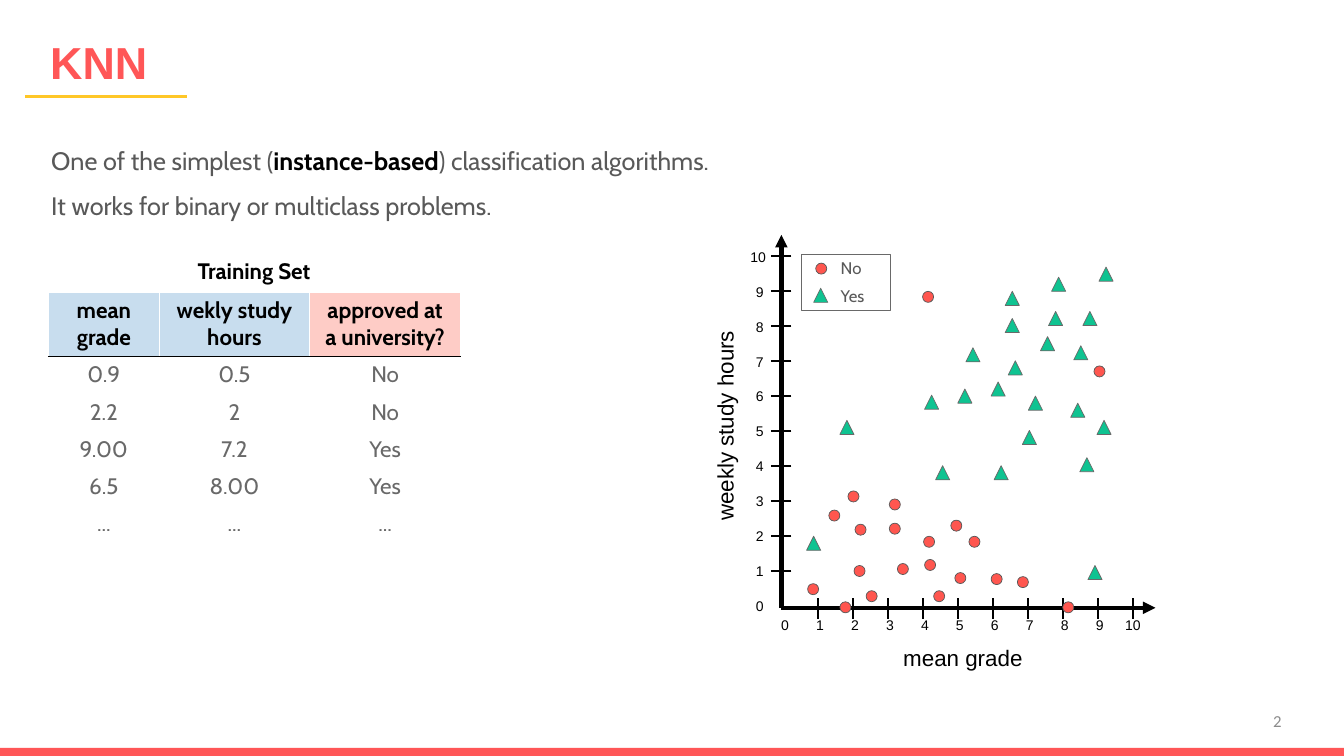
"""Builds a slide that introduces the KNN classifier with a training table and a scatter plot."""
from dataclasses import dataclass

from lxml.etree import SubElement
from pptx import Presentation
from pptx.dml.color import RGBColor
from pptx.enum.shapes import MSO_CONNECTOR, MSO_SHAPE
from pptx.enum.text import MSO_ANCHOR, MSO_AUTO_SIZE, PP_ALIGN
from pptx.oxml.ns import qn
from pptx.util import Inches, Pt

WHITE = RGBColor(0xFF, 0xFF, 0xFF)
BLACK = RGBColor(0x00, 0x00, 0x00)
CORAL = RGBColor(0xFF, 0x56, 0x57)
RED = RGBColor(0xFF, 0x56, 0x4F)
GREEN = RGBColor(0x0F, 0xC3, 0x91)
YELLOW = RGBColor(0xFF, 0xC7, 0x27)
BLUE_TINT = RGBColor(0xC8, 0xDD, 0xEE)
RED_TINT = RGBColor(0xFE, 0xCC, 0xC6)
DARK_GRAY = RGBColor(0x59, 0x59, 0x59)
GRAY = RGBColor(0x69, 0x69, 0x69)
LIGHT_GRAY = RGBColor(0x8C, 0x8C, 0x8C)


@dataclass(frozen=True)
class Style:
    size: float
    font: str
    color: RGBColor
    bold: bool = False
    align: PP_ALIGN = PP_ALIGN.CENTER
    spacing: float = 1.0


@dataclass(frozen=True)
class Label:
    text: str
    left: float
    top: float
    width: float
    height: float
    style: Style
    rotation: float = 0
    wrap: bool = True
    grow: bool = True
    anchor: MSO_ANCHOR = MSO_ANCHOR.TOP


@dataclass(frozen=True)
class Marker:
    kind: MSO_SHAPE
    size: float
    fill: RGBColor
    outline: RGBColor


TITLE = Style(32, "Arial", CORAL, True, PP_ALIGN.LEFT)
INTRO = Style(18, "Cabin", DARK_GRAY, False, PP_ALIGN.JUSTIFY, 1.5)
HEADING = Style(16, "Cabin", BLACK, True)
VALUE = Style(16, "Cabin", GRAY)
AXIS_NAME = Style(16, "Arial", BLACK)
TICK_LABEL = Style(10, "Arial", BLACK)
LEGEND = Style(12, "Cabin", DARK_GRAY, False, PP_ALIGN.LEFT, 1.5)
PAGE_NUMBER = Style(12, "Calibri", LIGHT_GRAY, False, PP_ALIGN.RIGHT)

NO_MARKER = Marker(MSO_SHAPE.OVAL, 0.11, RED, DARK_GRAY)
YES_MARKER = Marker(MSO_SHAPE.ISOSCELES_TRIANGLE, 0.14, GREEN, GRAY)

NO_POINTS = [
    (8.01, 5.79), (8.47, 5.61), (8.48, 5.2), (8.9, 5.59), (8.59, 5.86), (8.82, 5.19),
    (9.26, 5.86), (9.16, 5.32), (9.47, 5.68), (9.83, 5.69), (9.43, 5.16), (9.61, 5.32),
    (10.85, 3.63), (9.17, 5.55), (8.82, 4.95), (8.41, 4.87), (8.22, 5.06), (10.09, 5.72),
    (9.15, 2.89), (8.33, 5.97), (10.54, 5.97),
]
YES_POINTS = [
    (8.33, 4.17), (8, 5.32), (9.28, 4.62), (10.43, 2.75), (9.86, 4.62), (10.71, 4.54),
    (10.88, 4.17), (10.62, 4), (10.2, 3.93), (10, 3.58), (10.32, 3.34), (9.58, 3.45),
    (9.97, 3.16), (10.4, 3.09), (9.97, 2.89), (9.17, 3.92), (9.5, 3.86), (10.14, 4.27),
    (9.83, 3.79), (10.79, 5.61), (10.9, 2.65), (10.74, 3.09), (10.65, 3.43),
]
TRAINING_ROWS = [
    ("mean grade", "wekly study hours", "approved at a university?"),
    ("0.9", "0.5", "No"),
    ("2.2", "2", "No"),
    ("9.00", "7.2", "Yes"),
    ("6.5", "8.00", "Yes"),
    ("...", "...", "..."),
]
COLUMN_WIDTHS = (1.1, 1.49, 1.5)
HEADER_FILLS = (BLUE_TINT, BLUE_TINT, RED_TINT)
AXIS_X, AXIS_Y = 7.75, 6.03
ZERO_X, ZERO_Y = 7.77, 6.01
TICK_STEP = 3.12 / 9


def format_paragraph(para, style: Style) -> None:
    para.alignment = style.align
    para.line_spacing = style.spacing
    for span in para.runs:
        span.font.size = Pt(style.size)
        span.font.name = style.font
        span.font.bold = style.bold
        span.font.color.rgb = style.color


def add_label(shapes, label: Label):
    box = shapes.add_textbox(*map(Inches, (label.left, label.top, label.width, label.height)))
    box.rotation = label.rotation
    frame = box.text_frame
    frame.text = label.text
    frame.word_wrap = label.wrap
    frame.auto_size = MSO_AUTO_SIZE.SHAPE_TO_FIT_TEXT if label.grow else MSO_AUTO_SIZE.NONE
    frame.vertical_anchor = label.anchor
    for para in frame.paragraphs:
        format_paragraph(para, label.style)
    return box


def add_line(shapes, start: tuple[float, float], end: tuple[float, float],
             color: RGBColor, width: float, arrow: bool = False) -> None:
    line = shapes.add_connector(MSO_CONNECTOR.STRAIGHT, *map(Inches, (*start, *end)))
    line.line.color.rgb = color
    line.line.width = Pt(width)
    if arrow:
        SubElement(line.line._get_or_add_ln(), qn("a:tailEnd"), type="triangle")
    SubElement(line._element.spPr, qn("a:effectLst"))


def add_marker(shapes, marker: Marker, left: float, top: float) -> None:
    shape = shapes.add_shape(marker.kind, *map(Inches, (left, top, marker.size, marker.size)))
    shape.shadow.inherit = False
    shape.fill.solid()
    shape.fill.fore_color.rgb = marker.fill
    shape.line.color.rgb = marker.outline
    shape.line.width = Pt(0.5)


def add_borders(cell, top: RGBColor, bottom: RGBColor) -> None:
    properties = cell._tc.get_or_add_tcPr()
    for side, color in (("L", WHITE), ("R", WHITE), ("T", top), ("B", bottom)):
        border = SubElement(properties, qn(f"a:ln{side}"), w=str(Pt(1)))
        SubElement(SubElement(border, qn("a:solidFill")), qn("a:srgbClr"), val=str(color))


def add_training_table(shapes) -> None:
    frame = shapes.add_table(len(TRAINING_ROWS), len(COLUMN_WIDTHS),
                             *map(Inches, (0.48, 2.9, 4.09, 2.47)))
    table = frame.table
    table.first_row = table.horz_banding = False
    for column, width in zip(table.columns, COLUMN_WIDTHS):
        column.width = Inches(width)
    for row_index, texts in enumerate(TRAINING_ROWS):
        header = row_index == 0
        table.rows[row_index].height = Inches(0.63 if header else 0.37)
        for column_index, text in enumerate(texts):
            cell = table.cell(row_index, column_index)
            cell.text_frame.text = text
            cell.vertical_anchor = MSO_ANCHOR.BOTTOM if header else MSO_ANCHOR.MIDDLE
            format_paragraph(cell.text_frame.paragraphs[0], HEADING if header else VALUE)
            add_borders(cell, BLACK if row_index == 1 else WHITE, BLACK if header else WHITE)
            cell.fill.solid()
            cell.fill.fore_color.rgb = HEADER_FILLS[column_index] if header else WHITE


def add_scatter_plot(shapes) -> None:
    for end in ((11.46, AXIS_Y), (AXIS_X, 2.33)):
        add_line(shapes, (AXIS_X, AXIS_Y), end, BLACK, 3, arrow=True)
    for value in range(11):
        x, y = ZERO_X + value * TICK_STEP, ZERO_Y - value * TICK_STEP
        if value:
            add_line(shapes, (x, 6.14), (x, 5.93), BLACK, 1.5)
            add_line(shapes, (7.85, y), (7.65, y), BLACK, 1.5)
        width = 0.39 if value == 10 else 0.24
        for center_x, top in ((x, 6.07), (7.52, y - 0.13)):
            add_label(shapes, Label(str(value), center_x - width / 2, top, width, 0.27,
                                    TICK_LABEL, wrap=False))
    add_label(shapes, Label("weekly study hours", 5.87, 4.04, 2.64, 0.37, AXIS_NAME, rotation=270))
    add_label(shapes, Label("mean grade", 8.23, 6.34, 2.64, 0.37, AXIS_NAME))
    for marker, points in ((NO_MARKER, NO_POINTS), (YES_MARKER, YES_POINTS)):
        for left, top in points:
            add_marker(shapes, marker, left, top)
    add_marker(shapes, NO_MARKER, 8.09, 2.61)
    add_marker(shapes, YES_MARKER, 8.07, 2.86)
    for text, top in (("No", 2.41), ("Yes", 2.69)):
        add_label(shapes, Label(text, 8.24, top, 0.45, 0.4, LEGEND, wrap=False))
    legend = shapes.add_shape(MSO_SHAPE.RECTANGLE, *map(Inches, (7.95, 2.52, 0.88, 0.56)))
    legend.shadow.inherit = False
    legend.fill.background()
    legend.line.color.rgb = GRAY
    legend.line.width = Pt(0.5)


def add_intro(shapes) -> None:
    box = add_label(shapes, Label("One of the simplest (\nIt works for binary or multiclass problems.",
                                  0.41, 1.24, 7.68, 0.96, INTRO))
    para = box.text_frame.paragraphs[0]
    for text in ("instance-based", ") classification algorithms."):
        para.add_run().text = text
    format_paragraph(para, INTRO)
    para.runs[1].font.bold = True
    para.runs[1].font.color.rgb = BLACK


def main() -> None:
    deck = Presentation()
    deck.slide_width, deck.slide_height = Inches(13.33), Inches(7.5)
    shapes = deck.slides.add_slide(deck.slide_layouts[6]).shapes
    add_label(shapes, Label("2", 9.81, 6.95, 3, 0.4, PAGE_NUMBER, grow=False, anchor=MSO_ANCHOR.MIDDLE))
    footer = shapes.add_shape(MSO_SHAPE.RECTANGLE, *map(Inches, (0, 7.42, 13.33, 0.08)))
    footer.shadow.inherit = False
    footer.fill.solid()
    footer.fill.fore_color.rgb = CORAL
    footer.line.fill.background()
    add_label(shapes, Label("Training Set", 0.65, 2.5, 3.74, 0.37, HEADING))
    add_training_table(shapes)
    add_scatter_plot(shapes.add_group_shape().shapes)
    add_label(shapes, Label("KNN", 0.4, 0.3, 1.5, 0.63, TITLE, grow=False, anchor=MSO_ANCHOR.MIDDLE))
    add_line(shapes, (1.85, 0.96), (0.25, 0.96), YELLOW, 2.25)
    add_intro(shapes)
    deck.save("out.pptx")


if __name__ == "__main__":
    main()
